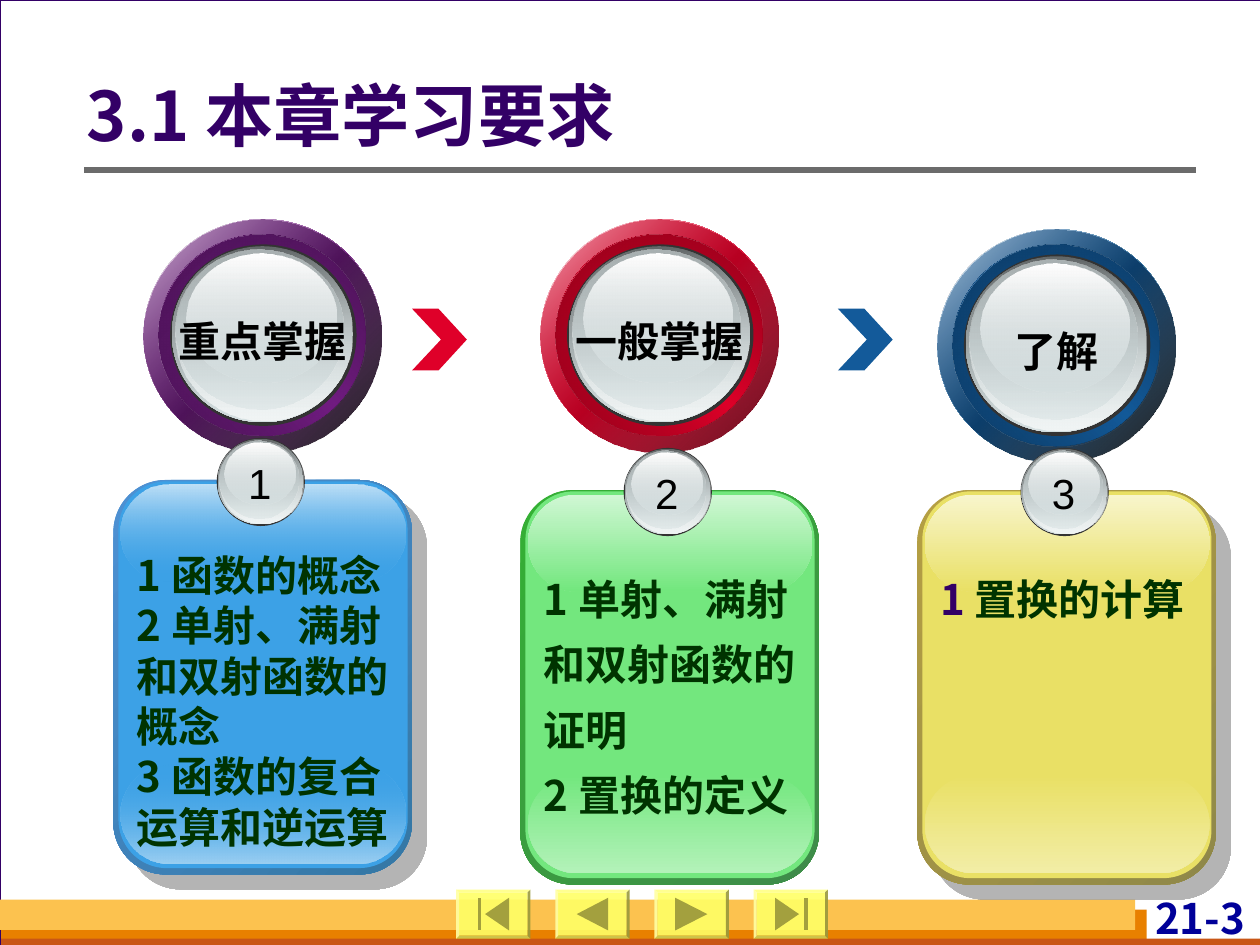
from dataclasses import dataclass

from lxml import etree
from pptx import Presentation
from pptx.dml.color import RGBColor
from pptx.enum.shapes import MSO_CONNECTOR, MSO_SHAPE
from pptx.enum.text import MSO_ANCHOR, PP_ALIGN
from pptx.oxml.ns import qn
from pptx.util import Inches, Pt

RECT, OVAL = MSO_SHAPE.RECTANGLE, MSO_SHAPE.OVAL
ROUND, BEVEL = MSO_SHAPE.ROUNDED_RECTANGLE, MSO_SHAPE.BEVEL
LEFT, CENTER, RIGHT = PP_ALIGN.LEFT, PP_ALIGN.CENTER, PP_ALIGN.RIGHT
TOP, MIDDLE = MSO_ANCHOR.TOP, MSO_ANCHOR.MIDDLE

# The slide is a grid of 100 columns by 75 rows; every length counts its cells
CELL = Inches(0.1)
COLS, ROWS = 100, 75
CJK, LATIN = "Noto Sans CJK SC", "Arial"
C = {
    "back": "D8DADA", "white": "FFFFFF", "black": "000000", "title": "330066",
    "body": "003300", "number": "000099", "rule": "6B6B6B", "bar": "FCC24F",
    "bar_shade": "E88000", "bar_base": "C95616", "button": "FFFF66",
    "glyph": "A3A03E", "rim": "333333", "steel": "636869", "pale": "D6E1E2",
    "gleam": "F1F5F5", "grey": "AAB2B3", "red": "DF0029", "blue": "135A9A",
}


@dataclass
class Ring:
    x: float
    y: float
    label: str
    color: str
    dark: str
    shade: str
    edge: tuple


@dataclass
class Card:
    x: float
    y: float
    num: str
    items: list
    text_y: float
    spacing: float
    edge: tuple
    fill: str
    top: str
    bottom: str
    clear: int = 100
    shadow: bool = True
    num_color: str = C["body"]


RINGS = [
    Ring(11.4, 17.4, "重点掌握", "711C81", "3D0F46", "481252", ("000000", 90)),
    Ring(42.9, 17.4, "一般掌握", "DF0029", "790016", "8E001A", ("670013", 100)),
    Ring(74.4, 18.2, "了解", "135A9A", "0A3153", "0C3962", ("000000", 90)),
]
CARDS = [
    Card(9, 38.1, "1", ["1 函数的概念", "2 单射、满射和双射函数的概念", "3 函数的复合运算和逆运算"],
         5, 1, ("4E91D4", "3477A4"), "3CA1E6", "BEE0F7", "9BCFF2", clear=0),
    Card(41.3, 38.9, "2", ["1 单射、满射和双射函数的证明", "2 置换的定义"],
         4.9, 1.3, ("34B034", "3F8B4A"), "73E77E", "D0F7D4", "B3F2B9", shadow=False),
    Card(72.8, 38.9, "3", ["1 置换的计算"],
         4.9, 1.3, ("B59F43", "8F8849"), "E9E065", "F8F5CC", "F2EDA6",
         num_color=C["title"]),
]
# Button glyphs as outlines inside a button
LEFT_TRI = [(1.7, 1.95), (4.2, 0.65), (4.2, 3.25)]
RIGHT_TRI = [(1.65, 0.65), (4.2, 1.95), (1.65, 3.25)]
FIRST = [[(2.3, 1.95), (4.2, 0.65), (4.2, 3.25)],
         [(1.7, 0.65), (2, 0.65), (2, 3.25), (1.7, 3.25)]]
LAST = [[(3.6, 1.95), (1.7, 0.65), (1.7, 3.25)],
        [(4, 0.65), (4.3, 0.65), (4.3, 3.25), (4, 3.25)]]
CHEVRON = [(0, 0), (2.1, 0), (4.35, 2.45), (2.1, 4.9), (0, 4.9), (2.3, 2.45)]


def cells(*values: float) -> list:
    return [int(v * CELL) for v in values]


def add_color(parent, color: str, alpha: float) -> None:
    clr = etree.SubElement(parent, qn("a:srgbClr"), val=color)
    if alpha < 100:
        etree.SubElement(clr, qn("a:alpha"), val=str(int(alpha * 1000)))


def paint(sp, fill, angle: int = 90):
    """Fill with a colour, or with gradient stops of (percent, colour[, opacity])."""
    sp.shadow.inherit = False
    sp.line.fill.background()
    if isinstance(fill, str):
        sp.fill.solid()
        sp.fill.fore_color.rgb = RGBColor.from_string(fill)
        return sp
    sp.fill.gradient()
    grad = sp._element.spPr.find(qn("a:gradFill"))
    for child in list(grad):
        grad.remove(child)
    stops = etree.SubElement(grad, qn("a:gsLst"))
    for pos, color, *alpha in fill:
        gs = etree.SubElement(stops, qn("a:gs"), pos=str(pos * 1000))
        add_color(gs, color, alpha[0] if alpha else 100)
    etree.SubElement(grad, qn("a:lin"), ang=str(angle * 60000), scaled="0")
    return sp


def shape(s, kind, x, y, w, h, fill, angle: int = 90, adj=None):
    sp = s.shapes.add_shape(kind, *cells(x, y, w, h))
    if adj is not None:
        sp.adjustments[0] = adj
    return paint(sp, fill, angle)


def outline(s, x: float, y: float, points: list, fill: str) -> None:
    pts = [cells(x + px, y + py) for px, py in points]
    fb = s.shapes.build_freeform(*pts[0])
    fb.add_line_segments(pts[1:], close=True)
    paint(fb.convert_to_shape(), fill)


def write(tf, paras: list, size=24, font=CJK, color=C["black"], lead=None, bold=True,
          align=LEFT, anchor=TOP, spacing=1.0, wrap=True, insets=(1, 0.5, 1, 0.5)) -> None:
    """Write paragraphs; lead colours the number before the first space."""
    tf.word_wrap, tf.vertical_anchor = wrap, anchor
    tf.margin_left, tf.margin_top, tf.margin_right, tf.margin_bottom = cells(*insets)
    for i, text in enumerate(paras):
        p = tf.paragraphs[0] if i == 0 else tf.add_paragraph()
        p.alignment, p.line_spacing = align, spacing
        num, gap, rest = text.partition(" ")
        parts = [(num + gap, lead), (rest, color)] if lead else [(text, color)]
        for part, tone in parts:
            r = p.add_run()
            r.text = part
            r.font.size, r.font.bold, r.font.name = Pt(size), bold, font
            r.font.color.rgb = RGBColor.from_string(tone)
            etree.SubElement(r._r.rPr, qn("a:ea"), typeface=CJK)


def text_box(s, x, y, w, h, paras: list, **fmt) -> None:
    write(s.shapes.add_textbox(*cells(x, y, w, h)).text_frame, paras, **fmt)


def glass_ball(s, x: float, y: float, w: float, h: float) -> None:
    pale = C["pale"]
    layers = [
        (0, 0, 1, 1, C["rim"]),
        (0.01, 0.01, 0.97, 0.97, [(0, C["steel"]), (100, pale)]),
        (0.03, 0.02, 0.95, 0.95, [(0, pale, 0), (100, C["gleam"])]),
        (0.03, 0.03, 0.9, 0.88, [(0, C["grey"]), (100, pale, 48)]),
        (0.09, 0.05, 0.8, 0.71, [(0, C["white"]), (100, pale, 38)]),
    ]
    for dx, dy, sw, sh, fill in layers:
        shape(s, OVAL, x + dx * w, y + dy * h, sw * w, sh * h, fill)


def draw_ring(s, g: Ring) -> None:
    outer, inner = (g.x, g.y, 18.9, 18.5), (g.x + 1.2, g.y + 1.2, 16.4, 16)
    shape(s, OVAL, *outer, [(0, C["white"]), (50, g.color), (100, C["white"])], 45)
    shape(s, OVAL, *outer, [(0, g.color, 32), (100, *g.edge)], 45)
    shape(s, OVAL, *inner, [(0, g.dark), (50, g.color), (100, g.dark)], 315)
    shape(s, OVAL, *inner, [(0, g.shade), (100, g.color, 0)], 45)
    glass_ball(s, g.x + 2.1, g.y + 2, 14.8, 14.4)
    text_box(s, g.x + 1.45, g.y + 7.15, 16, 5, [g.label], font=LATIN, align=CENTER, wrap=False)


def draw_card(s, c: Card) -> None:
    sp = shape(s, ROUND, c.x, c.y, 23.7, 31.3, [(0, c.edge[0]), (100, c.edge[1])], 45, 0.175)
    if c.shadow:
        effects = sp._element.spPr.find(qn("a:effectLst"))
        shd = etree.SubElement(effects, qn("a:outerShdw"), dist=str(Pt(12.1)),
                               dir=str(45 * 60000), algn="ctr", rotWithShape="0")
        add_color(shd, C["rule"], 50)
    shape(s, ROUND, c.x + 0.4, c.y + 0.1, 22.95, 30.7, c.fill, adj=0.167)
    shape(s, ROUND, c.x + 0.6, c.y + 22.6, 22.6, 7.8,
          [(0, c.fill, c.clear), (100, c.bottom)], adj=0.5)
    shape(s, ROUND, c.x + 0.6, c.y + 0.35, 22.6, 7.7,
          [(0, c.top), (100, c.fill, c.clear)], adj=0.5)
    glass_ball(s, c.x + 8.2, c.y - 3.35, 7, 7)
    text_box(s, c.x + 9.7, c.y - 2.3, 3.8, 5, [c.num], font=LATIN, bold=False,
             align=CENTER, wrap=False)
    text_box(s, c.x + 0.87, c.y + c.text_y, 22.5, 27, c.items, color=C["body"],
             lead=c.num_color, spacing=c.spacing)


def main() -> None:
    prs = Presentation()
    prs.slide_width, prs.slide_height = cells(COLS, ROWS)
    s = prs.slides.add_slide(prs.slide_layouts[5])
    s.background.fill.solid()
    s.background.fill.fore_color.rgb = RGBColor.from_string(C["back"])

    # Page frame, footer bars and page number
    page = shape(s, RECT, 0, 0, COLS + 0.1, ROWS, C["white"])
    page.line.color.rgb = RGBColor.from_string(C["title"])
    page.line.width = Pt(0.75)
    shape(s, RECT, 0.1, 72.2, 90.9, 2.8, C["bar_shade"])
    shape(s, RECT, 0.1, 74.5, COLS, 0.8, C["bar_base"])
    shape(s, RECT, 0, 71.4, 90.1, 2.4, C["bar"])
    text_box(s, 84.7, 70.8, 14.5, 4, ["21-3"], color=C["number"], align=RIGHT,
             insets=(0.4, 0, 0.4, 0))

    # Title and its rule, above the page frame
    title = s.shapes.title
    s.shapes._spTree.append(title._element)
    title.left, title.top, title.width, title.height = cells(6.9, 6, 77.8, 6.9)
    write(title.text_frame, ["3.1 本章学习要求"], size=39, color=C["title"], anchor=MIDDLE,
          spacing=0.9, insets=(0, 0.5, 1, 0.5))
    rule = s.shapes.add_connector(MSO_CONNECTOR.STRAIGHT, *cells(6.7, 13.5, 94.9, 13.5))
    rule.line.color.rgb = RGBColor.from_string(C["rule"])
    rule.line.width = Pt(3)
    etree.SubElement(rule._element.spPr, qn("a:effectLst"))

    # Navigation buttons
    for i, glyph in enumerate((FIRST, [LEFT_TRI], [RIGHT_TRI], LAST)):
        x, y = 36.2 + 7.87 * i, 70.6
        button = shape(s, BEVEL, x, y, 5.9, 3.9, C["button"], adj=0.06)
        clr = button._element.spPr.find(qn("a:solidFill"))[0]
        etree.SubElement(clr, qn("a:alpha"), val="90000")
        for points in glyph:
            outline(s, x, y, points, C["glyph"])

    # Arrows, rings and cards
    outline(s, 32.7, 24.5, CHEVRON, C["red"])
    outline(s, 66.5, 24.5, CHEVRON, C["blue"])
    for ring in RINGS:
        draw_ring(s, ring)
    for card in CARDS:
        draw_card(s, card)

    prs.save("out.pptx")


if __name__ == "__main__":
    main()
